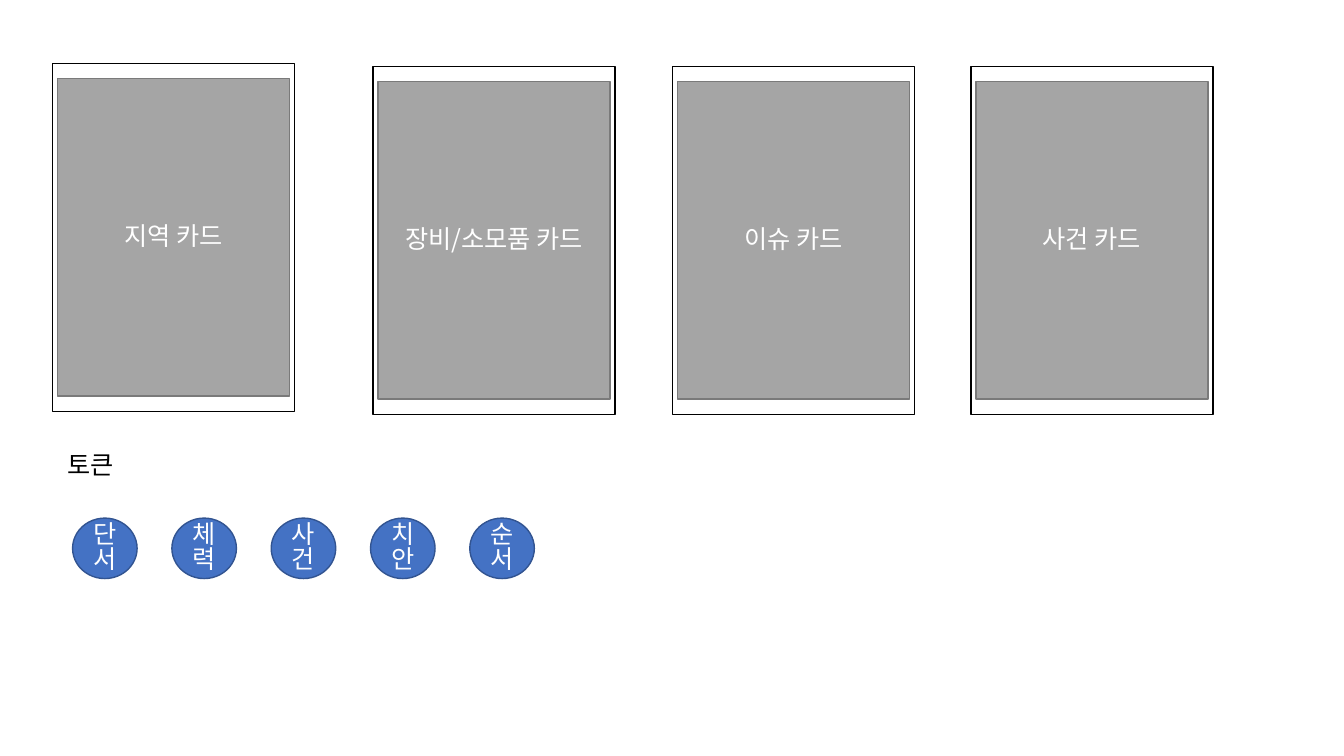
from lxml.etree import SubElement
from pptx import Presentation
from pptx.dml.color import RGBColor
from pptx.enum.shapes import MSO_SHAPE
from pptx.enum.text import MSO_ANCHOR, MSO_AUTO_SIZE, PP_ALIGN
from pptx.oxml.ns import qn
from pptx.util import Inches, Pt

COLORS = {"ink": "000000", "paper": "FFFFFF", "card": "A5A5A5",
          "edge": "7A7A7A", "token": "4472C4", "rim": "325491"}
FONT = "Noto Sans CJK KR"
UNIT = 0.1  # inches in one grid column or row

# Left column, top row and label of each card
CARDS = [(5.2, 6.3, "지역 카드"), (37, 6.6, "장비/소모품 카드"),
         (66.7, 6.6, "이슈 카드"), (96.3, 6.6, "사건 카드")]
TOKENS = ["단서", "체력", "사건", "치안", "순서"]


class Board:
    def __init__(self, slide):
        self.slide = slide

    def grid(self, *cells):
        return [Inches(cell * UNIT) for cell in cells]

    def color(self, name):
        return RGBColor.from_string(COLORS[name])

    def letter(self, shape, text, color, align, anchor):
        """Put one styled line of text into a shape."""
        frame = shape.text_frame
        frame.word_wrap = True
        frame.vertical_anchor = anchor
        par = frame.paragraphs[0]
        par.alignment = align
        par.line_spacing = 0.85
        run = par.add_run()
        run.text = text
        look = {"name": FONT, "size": Pt(18)}
        for key, value in look.items():
            setattr(run.font, key, value)
        run.font.color.rgb = self.color(color)
        SubElement(run._r.get_or_add_rPr(), qn("a:ea"), typeface=FONT)

    def shape(self, kind, box, line, fill=None, text=None):
        shape = self.slide.shapes.add_shape(kind, *self.grid(*box))
        shape.shadow.inherit = False
        shape.line.color.rgb = self.color(line)
        shape.line.width = Pt(1)
        if fill:
            shape.fill.solid()
            shape.fill.fore_color.rgb = self.color(fill)
        else:
            shape.fill.background()
        if text:
            self.letter(shape, text, "paper", PP_ALIGN.CENTER, MSO_ANCHOR.MIDDLE)

    def card(self, left, top, text):
        self.shape(MSO_SHAPE.RECTANGLE, (left, top, 24, 34.5), "ink")
        self.shape(MSO_SHAPE.RECTANGLE, (left + 0.5, top + 1.5, 23, 31.5),
                   "edge", "card", text)

    def token(self, left, top, text):
        self.shape(MSO_SHAPE.OVAL, (left, top, 6.4, 6), "rim", "token", text)

    def label(self, box, text):
        label = self.slide.shapes.add_textbox(*self.grid(*box))
        self.letter(label, text, "ink", PP_ALIGN.LEFT, MSO_ANCHOR.TOP)
        label.text_frame.auto_size = MSO_AUTO_SIZE.SHAPE_TO_FIT_TEXT


def main():
    deck = Presentation()
    deck.slide_width, deck.slide_height = Inches(13.33), Inches(7.5)
    board = Board(deck.slides.add_slide(deck.slide_layouts[6]))
    for left, top, text in CARDS:
        board.card(left, top, text)
    board.label((5.7, 44.5, 20.1, 4), "토큰")
    for i, text in enumerate(TOKENS):
        board.token(7.2 + 9.85 * i, 51.4, text)
    deck.save("out.pptx")


if __name__ == "__main__":
    main()
